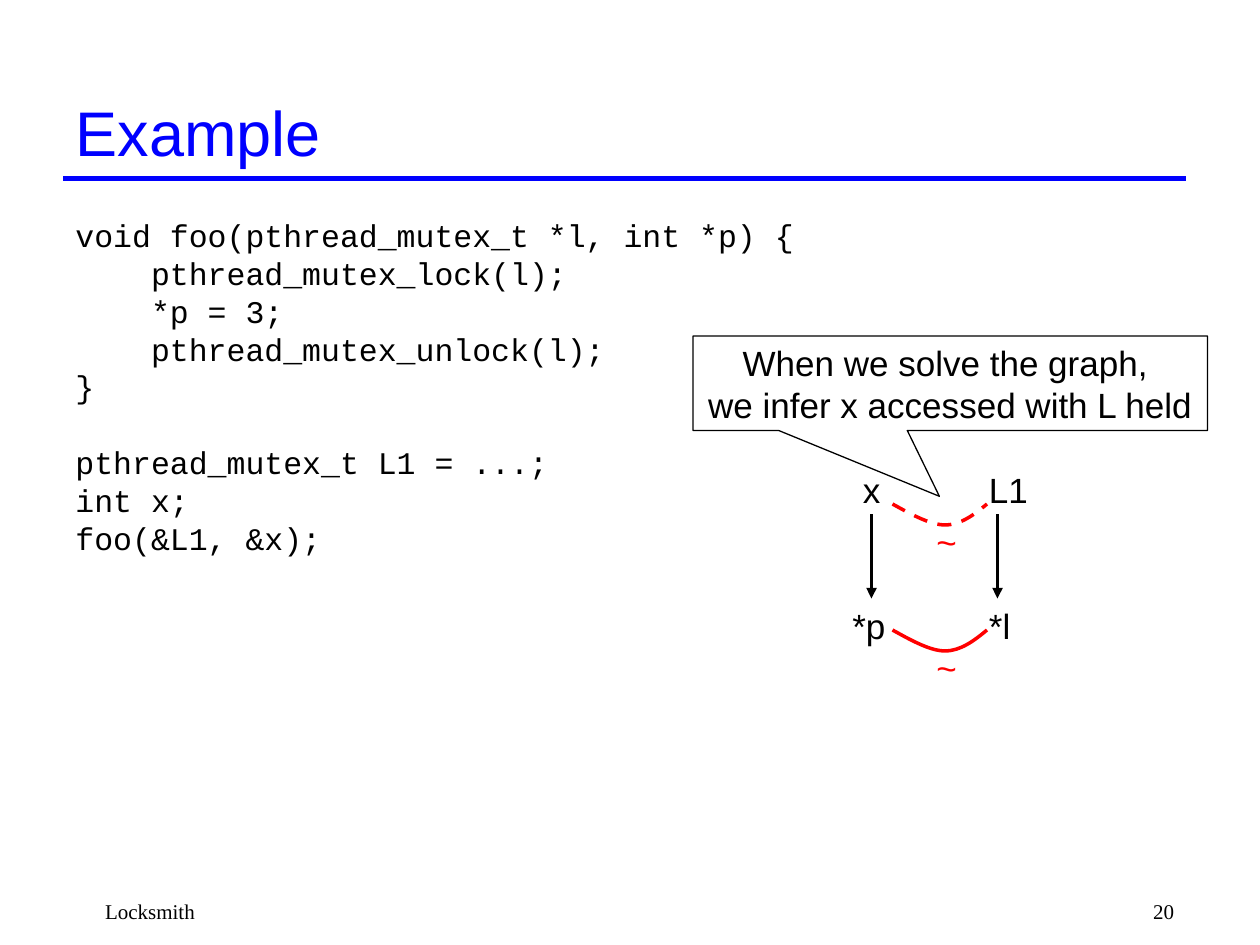
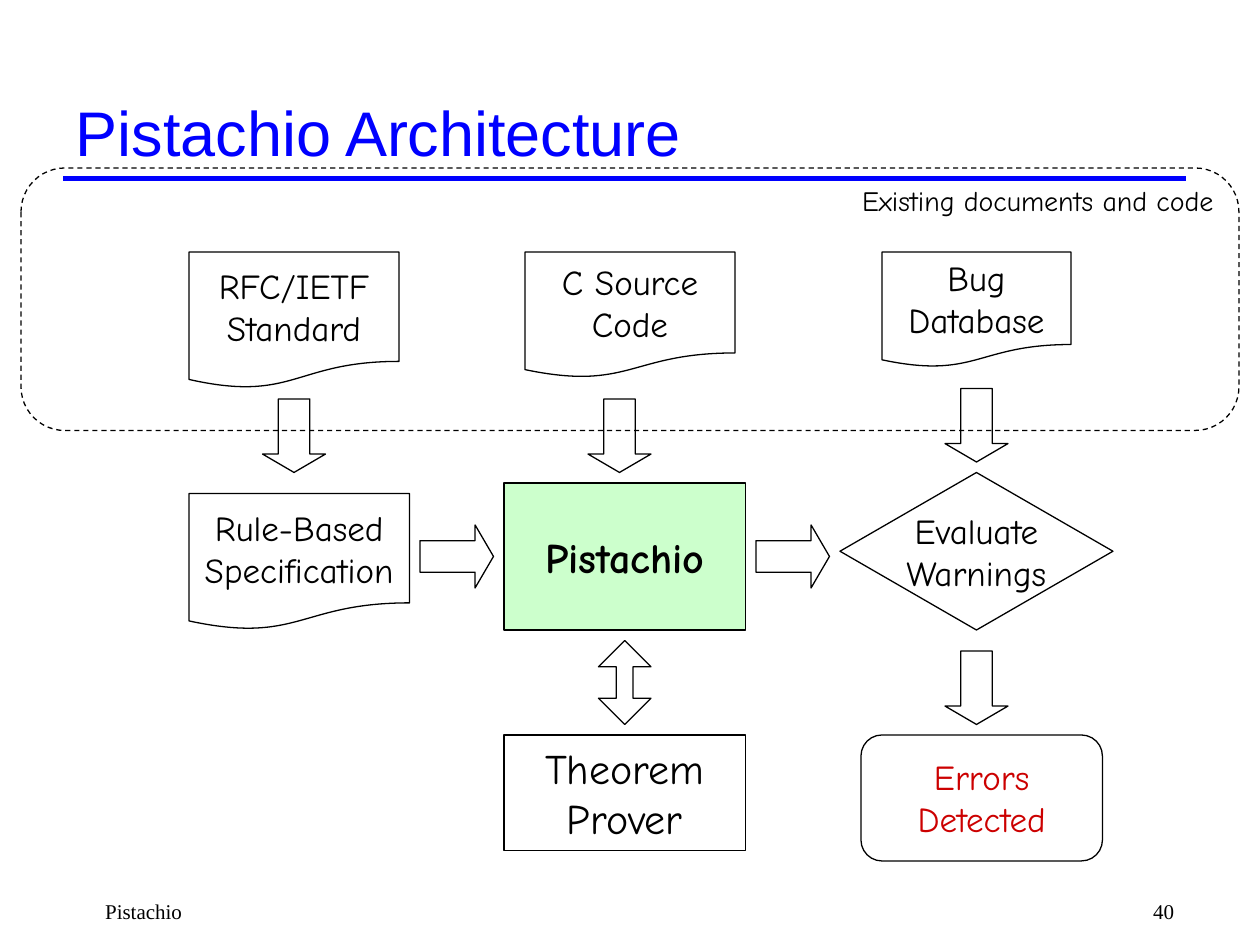
import pptx
import pptx.dml.color
import pptx.enum.dml
import pptx.enum.shapes
import pptx.enum.text
import pptx.oxml
import pptx.oxml.ns
import pptx.util

Pt = pptx.util.Pt
qn = pptx.oxml.ns.qn
MSO = pptx.enum.shapes.MSO_SHAPE
ALIGN = pptx.enum.text.PP_ALIGN
ANCHOR = pptx.enum.text.MSO_ANCHOR
DASH = pptx.enum.dml.MSO_LINE.DASH

COLORS = {
    "title": "0000FF",
    "ink": "000000",
    "relation": "FF0000",
    "error": "CC0000",
    "core": "CCFFCC",
}
SANS, COMIC, MONO, SERIF = "Arial", "Comic Neue", "Courier New", "Times New Roman"

CODE = [
    ["void foo(pthread_mutex_t *l, int *p) {",
     "    pthread_mutex_lock(l);",
     "    *p = 3;",
     "    pthread_mutex_unlock(l);",
     "}"],
    ["pthread_mutex_t L1 = ...;",
     "int x;",
     "foo(&L1, &x);"],
]


def rgb(name):
    return pptx.dml.color.RGBColor.from_string(COLORS[name])


def box(*lengths):
    return [Pt(v) for v in lengths]


def write(tf, lines, font, size, color="ink", align=ALIGN.LEFT,
          anchor=ANCHOR.TOP, bold=False, wrap=False):
    tf.word_wrap = wrap
    tf.auto_size = pptx.enum.text.MSO_AUTO_SIZE.NONE
    tf.vertical_anchor = anchor
    for i, line in enumerate(lines):
        p = tf.paragraphs[0] if i == 0 else tf.add_paragraph()
        p.alignment = align
        r = p.add_run()
        r.text = line
        r.font.name = font
        r.font.size = Pt(size)
        r.font.bold = bold
        r.font.color.rgb = rgb(color)


def add_text(s, at, lines, font, size, **style):
    tf = s.shapes.add_textbox(*box(*at)).text_frame
    write(tf, lines, font, size, **style)
    return tf


def set_line(sp, color="ink", width=0.75, dash=None):
    sp.line.color.rgb = rgb(color)
    sp.line.width = Pt(width)
    if dash is not None:
        sp.line.dash_style = dash


def add_line(s, x1, y1, x2, y2, color, width, arrow=False):
    sp = s.shapes.add_connector(pptx.enum.shapes.MSO_CONNECTOR.STRAIGHT,
                                *box(x1, y1, x2, y2))
    set_line(sp, color, width)
    props = sp._element.spPr
    props.append(pptx.oxml.parse_xml(
        '<a:effectLst xmlns:a="http://schemas.openxmlformats.org/drawingml/2006/main"/>'))
    if arrow:
        tail = sp.line._get_or_add_ln().makeelement(qn("a:tailEnd"), {"type": "triangle"})
        sp.line._get_or_add_ln().append(tail)


def add_shape(s, kind, at, lines=(), size=20, color="ink", fill=None, font=COMIC,
              adj=(), dash=None, rotation=0, **style):
    sp = s.shapes.add_shape(kind, *box(*at))
    sp.shadow.inherit = False
    sp.rotation = rotation
    for i, value in enumerate(adj):
        sp.adjustments[i] = value
    if fill:
        sp.fill.solid()
        sp.fill.fore_color.rgb = rgb(fill)
    else:
        sp.fill.background()
    set_line(sp, dash=dash)
    if lines:
        write(sp.text_frame, lines, font, size, color,
              **{"align": ALIGN.CENTER, "anchor": ANCHOR.MIDDLE, **style})
    return sp


def add_arrow(s, x, y, rotation=0):
    add_shape(s, MSO.RIGHT_ARROW, (x, y, 42, 36), adj=(0.5, 0.292), rotation=rotation)


def add_relation(s, x, y, dash=None):
    offsets = [(10.8, 6), (21.6, 12), (30, 12), (39, 12), (46.8, 6), (54, 0)]
    builder = s.shapes.build_freeform(Pt(x), Pt(y))
    builder.add_line_segments([(Pt(x + dx), Pt(y + dy)) for dx, dy in offsets], close=False)
    sp = builder.convert_to_shape()
    sp.shadow.inherit = False
    sp.fill.background()
    set_line(sp, "relation", 2, dash)
    segments = list(sp._element.iter(qn("a:lnTo")))
    for i in range(0, len(segments), 3):
        curve = segments[i].makeelement(qn("a:cubicBezTo"), {})
        segments[i].addprevious(curve)
        for segment in segments[i:i + 3]:
            curve.append(segment[0])
            segment.getparent().remove(segment)
    add_text(s, (x + 18, y + 6, 26, 32), ["~"], SANS, 20, color="relation")


def add_slide(prs, title):
    s = prs.slides.add_slide(prs.slide_layouts[5])
    add_line(s, 36, 102, 678, 102, "title", 3)
    sp = s.shapes.title
    sp.left, sp.top, sp.width, sp.height = box(36, 48, 642, 54)
    write(sp.text_frame, [title], SANS, 36, "title", anchor=ANCHOR.MIDDLE, wrap=True)
    return s


def add_footer(s, topic, number):
    for x, width, text, align in [(36, 438, topic, ALIGN.LEFT),
                                  (528, 150, number, ALIGN.RIGHT)]:
        tf = add_text(s, (x, 510, width, 18), [text], SERIF, 12, align=align, wrap=True)
        tf.paragraphs[0]._p.get_or_add_pPr().set("marL", str(Pt(17)))


def example_slide(prs):
    s = add_slide(prs, "Example")
    definition, call = CODE
    tf = add_text(s, (36, 120, 444, 231), definition + call, MONO, 18, wrap=True)
    tf.paragraphs[len(definition)].space_before = Pt(21.6)

    for x, y, width, name in [(480, 342, 33, "*p"), (558, 342, 27, "*l"),
                              (486, 264, 25, "x"), (558, 264, 37, "L1")]:
        add_text(s, (x, y, width, 32), [name], SANS, 20)
    for x in (498, 570):
        add_line(s, x, 294, x, 342, "ink", 2, arrow=True)
    add_relation(s, 510, 360)
    add_shape(s, MSO.RECTANGULAR_CALLOUT, (396, 192, 294, 54),
              ["When we solve the graph, ", "we infer x accessed with L held"],
              font=SANS, adj=(-0.021, 1.197))
    add_relation(s, 510, 288, DASH)
    add_footer(s, "Locksmith", "20")


def architecture_slide(prs):
    s = add_slide(prs, "Pistachio Architecture")
    existing = add_shape(s, MSO.ROUNDED_RECTANGLE, (12, 96, 696, 150),
                         ["Existing documents and code"], 16, dash=DASH,
                         align=ALIGN.RIGHT, anchor=ANCHOR.TOP)
    existing.text_frame.paragraphs[0].line_spacing = 0.9

    for at, lines in [((108, 144, 120, 78), ["RFC/IETF", "Standard"]),
                      ((300, 144, 120, 72), ["C Source", "Code"]),
                      ((504, 144, 108, 66), ["Bug", "Database"]),
                      ((108, 282, 126, 78), ["Rule-Based", "Specification"])]:
        add_shape(s, MSO.FLOWCHART_DOCUMENT, at, lines)

    add_shape(s, MSO.RECTANGLE, (288, 276, 138, 84), ["Pistachio"], 24,
              fill="core", bold=True)
    for x in (240, 432):
        add_arrow(s, x, 300)
    for x, y in [(147, 231), (333, 231), (537, 225), (537, 375)]:
        add_arrow(s, x, y, 90)
    add_shape(s, MSO.ROUNDED_RECTANGLE, (492, 420, 138, 72),
              ["Errors", "Detected"], color="error")
    add_shape(s, MSO.DIAMOND, (480, 270, 156, 90), ["Evaluate", "Warnings"])
    add_shape(s, MSO.RECTANGLE, (288, 420, 138, 66), ["Theorem", "Prover"], 24)
    add_shape(s, MSO.UP_DOWN_ARROW, (342, 366, 30, 48), adj=(0.5, 0.319))
    add_footer(s, "Pistachio", "40")


def main():
    prs = pptx.Presentation()
    prs.slide_width, prs.slide_height = box(720, 540)
    example_slide(prs)
    architecture_slide(prs)
    prs.save("out.pptx")


if __name__ == "__main__":
    main()
